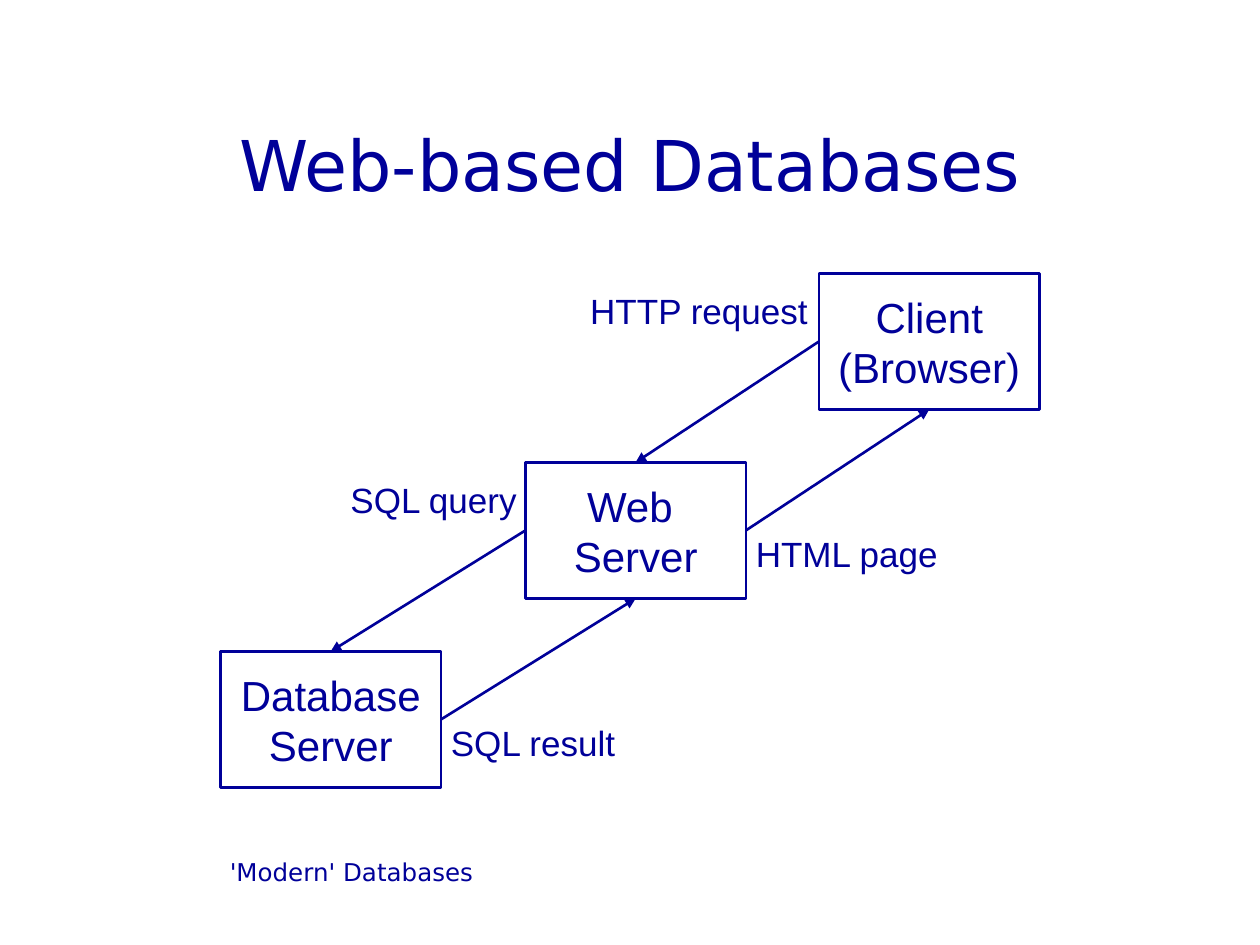
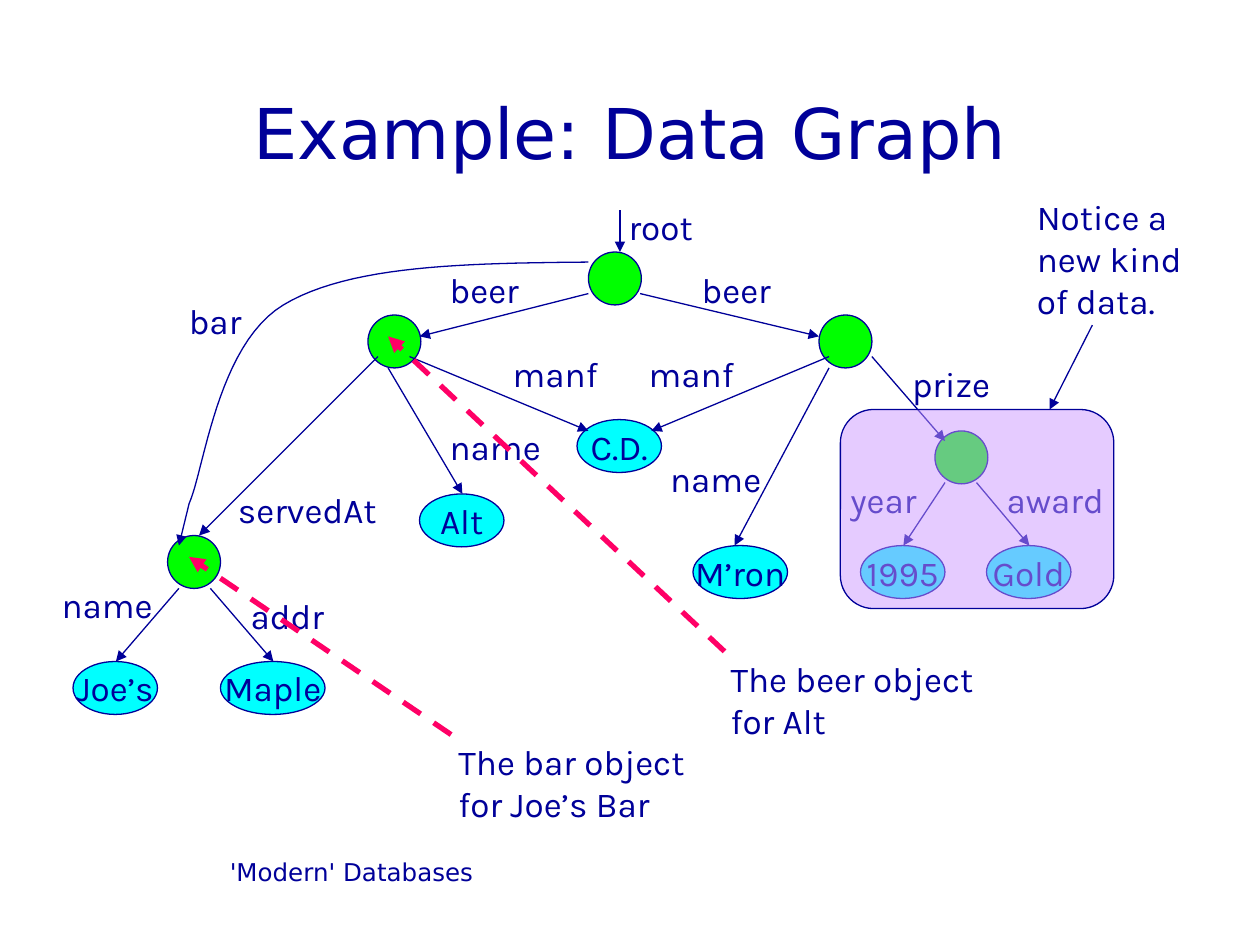
from dataclasses import dataclass

import pptx
import pptx.dml.color
import pptx.enum.dml
import pptx.enum.shapes
import pptx.enum.text
import pptx.oxml.ns
import pptx.util
from lxml import etree
from pptx.util import Inches

ALIGN = pptx.enum.text.PP_ALIGN
ANCHOR = pptx.enum.text.MSO_ANCHOR
SHAPE = pptx.enum.shapes.MSO_SHAPE
qn = pptx.oxml.ns.qn

COLORS = {
    "navy": "000099",
    "object": "00FF00",
    "value": "00FFFF",
    "pointer": "FF0066",
    "highlight": "CC99FF",
}
TITLE_FONT, BOX_FONT, GRAPH_FONT = "DejaVu Sans", "Arial", "Karla"
TITLE_ONLY = 5

BOX_W, BOX_H = 1.75, 1.08
NODE_H = 0.42


@dataclass
class Label:
    text: str
    x: float
    y: float
    w: float
    h: float = 0.44
    align: ALIGN = ALIGN.LEFT


@dataclass
class Value:
    text: str
    x: float
    y: float
    w: float = 0.67


@dataclass
class Arrow:
    x1: float
    y1: float
    x2: float
    y2: float
    color: str = "navy"
    width: float = 0.75
    dashed: bool = False


SERVER_BOXES = {
    "client": ("Client\n(Browser)", 6.5, 2.17),
    "web": ("Web \nServer", 4.17, 3.67),
    "database": ("Database\vServer", 1.75, 5.17),
}
TOP, LEFT, BOTTOM, RIGHT = range(4)
SERVER_LINKS = [
    ("web", LEFT, "database", TOP),
    ("database", RIGHT, "web", BOTTOM),
    ("client", LEFT, "web", TOP),
    ("web", RIGHT, "client", BOTTOM),
]
SERVER_LABELS = [
    Label("HTTP request", 4.58, 2.25, 1.93, align=ALIGN.RIGHT),
    Label("SQL query", 2.67, 3.75, 1.53, align=ALIGN.RIGHT),
    Label("SQL result", 3.48, 5.68, 1.51),
    Label("HTML page", 5.9, 4.18, 1.65),
]

OBJECT_NODES = [(4.67, 2), (1.33, 4.25), (7.42, 3.42), (6.5, 2.5), (2.92, 2.5)]
VALUE_NODES = [
    Value("Alt", 3.33, 3.92),
    Value("C.D.", 4.58, 3.33),
    Value("Gold", 7.83, 4.33),
    Value("1995", 6.83, 4.33),
    Value("Maple", 1.75, 5.25, 0.83),
    Value("Joe’s", 0.58, 5.25),
    Value("M’ron", 5.5, 4.33, 0.75),
]
GRAPH_ARROWS = [
    Arrow(4.67, 2.33, 3.33, 2.67),
    Arrow(5.08, 2.33, 6.5, 2.67),
    Arrow(3.08, 2.92, 3.67, 3.92),
    Arrow(3.25, 2.83, 4.67, 3.42),
    Arrow(6.58, 2.92, 5.83, 4.33),
    Arrow(6.58, 2.83, 5.17, 3.42),
    Arrow(6.92, 2.83, 7.5, 3.5),
    Arrow(7.5, 3.83, 7.17, 4.33),
    Arrow(7.75, 3.83, 8.17, 4.33),
    Arrow(3, 2.83, 1.58, 4.25),
    Arrow(1.42, 4.67, 0.92, 5.25),
    Arrow(1.67, 4.67, 2.17, 5.25),
    Arrow(1.5, 4, 1.42, 4.33),
    Arrow(4.92, 1.67, 4.92, 2),
]
BAR_CURVE = [
    ((4.67, 2.08), (3.72, 2.09), (2.78, 2.1), (2.25, 2.42)),
    ((2.25, 2.42), (1.72, 2.74), (1.62, 3.74), (1.5, 4)),
]
EDGE_LABELS = [
    Label("beer", 3.47, 2.08, 0.8),
    Label("beer", 5.47, 2.08, 0.8),
    Label("bar", 1.4, 2.33, 0.64),
    Label("manf", 5.05, 2.75, 0.88),
    Label("manf", 3.97, 2.75, 0.88),
    Label("servedAt", 1.79, 3.83, 1.35),
    Label("name", 0.39, 4.58, 0.94),
    Label("name", 3.47, 3.33, 0.94),
    Label("name", 5.22, 3.58, 0.94),
    Label("addr", 1.89, 4.67, 0.81),
    Label("prize", 7.14, 2.83, 0.84),
    Label("year", 6.65, 3.75, 0.77),
    Label("award", 7.89, 3.75, 1.01),
    Label("root", 4.89, 1.58, 0.75),
]
CALLOUTS = [
    (Label("The bar object\nfor Joe’s Bar", 3.54, 5.83, 2.07, 0.77),
     Arrow(3.58, 5.83, 1.5, 4.42, "pointer", 3, True)),
    (Label("The beer object\nfor Alt", 5.7, 5.17, 2.23, 0.77),
     Arrow(5.75, 5.17, 3.08, 2.67, "pointer", 3, True)),
    (Label("Notice a\nnew kind\nof data.", 8.13, 1.5, 1.38, 1.1),
     Arrow(8.67, 2.58, 8.33, 3.25)),
]


def rgb(color: str) -> pptx.dml.color.RGBColor:
    return pptx.dml.color.RGBColor.from_string(COLORS[color])


def set_text(tf, text: str, size: float, font: str, align: ALIGN, wrap: bool = False) -> None:
    tf.text = text
    tf.word_wrap = wrap
    for p in tf.paragraphs:
        p.alignment = align
        p.font.size = pptx.util.Pt(size)
        p.font.name = font
        p.font.color.rgb = rgb("navy")


def set_line(line, width: float, color: str = "navy") -> None:
    line.color.rgb = rgb(color)
    line.width = pptx.util.Pt(width)


def add_slide(prs, title: str, title_y: float):
    """Add a slide with its title and the running footer."""
    s = prs.slides.add_slide(prs.slide_layouts[TITLE_ONLY])
    sp = s.shapes.title
    sp.left, sp.top = Inches(0.75), Inches(title_y)
    sp.width, sp.height = Inches(8.5), Inches(1.25)
    sp.text_frame.vertical_anchor = ANCHOR.MIDDLE
    set_text(sp.text_frame, title, 40, TITLE_FONT, ALIGN.CENTER, wrap=True)
    footer = s.shapes.add_textbox(Inches(0.75), Inches(6.75), Inches(4.08), Inches(0.5))
    set_text(footer.text_frame, "'Modern' Databases", 14, TITLE_FONT, ALIGN.CENTER, wrap=True)
    return s


def add_label(s, label: Label, font: str) -> None:
    sp = s.shapes.add_textbox(Inches(label.x), Inches(label.y), Inches(label.w), Inches(label.h))
    set_text(sp.text_frame, label.text, 20, font, label.align)
    sp.text_frame.auto_size = pptx.enum.text.MSO_AUTO_SIZE.SHAPE_TO_FIT_TEXT


def add_outlined(s, kind: SHAPE, x: float, y: float, w: float, h: float,
                 fill: str = "", width: float = 0.75):
    sp = s.shapes.add_shape(kind, Inches(x), Inches(y), Inches(w), Inches(h))
    sp.shadow.inherit = False
    if fill:
        sp.fill.solid()
        sp.fill.fore_color.rgb = rgb(fill)
    else:
        sp.fill.background()
    set_line(sp.line, width)
    return sp


def add_arrow(s, arrow: Arrow):
    cx = s.shapes.add_connector(
        pptx.enum.shapes.MSO_CONNECTOR.STRAIGHT,
        Inches(arrow.x1), Inches(arrow.y1), Inches(arrow.x2), Inches(arrow.y2))
    set_line(cx.line, arrow.width, arrow.color)
    if arrow.dashed:
        cx.line.dash_style = pptx.enum.dml.MSO_LINE.DASH
    sp_pr = cx._element.spPr
    etree.SubElement(sp_pr.find(qn("a:ln")), qn("a:tailEnd"), type="triangle")
    etree.SubElement(sp_pr, qn("a:effectLst"))
    return cx


def bezier_point(curve, t: float) -> tuple[int, int]:
    weights = ((1 - t) ** 3, 3 * t * (1 - t) ** 2, 3 * t ** 2 * (1 - t), t ** 3)
    x, y = (sum(w * c for w, c in zip(weights, axis)) for axis in zip(*curve))
    return Inches(x), Inches(y)


def add_curve(s, curves, steps: int = 24) -> None:
    """Draw joined cubic curves as one open outline."""
    builder = s.shapes.build_freeform(*bezier_point(curves[0], 0))
    points = [bezier_point(c, i / steps) for c in curves for i in range(1, steps + 1)]
    builder.add_line_segments(points, close=False)
    sp = builder.convert_to_shape()
    sp.shadow.inherit = False
    sp.fill.background()
    set_line(sp.line, 0.75)


def build_web_databases(prs) -> None:
    s = add_slide(prs, "Web-based Databases", 0.67)
    boxes = {}
    for name, (text, x, y) in SERVER_BOXES.items():
        sp = boxes[name] = add_outlined(s, SHAPE.RECTANGLE, x, y, BOX_W, BOX_H, width=1.5)
        sp.text_frame.vertical_anchor = ANCHOR.MIDDLE
        set_text(sp.text_frame, text, 24, BOX_FONT, ALIGN.CENTER)
    for source, source_side, target, target_side in SERVER_LINKS:
        cx = add_arrow(s, Arrow(0, 0, 1, 1, width=1.5))
        cx.begin_connect(boxes[source], source_side)
        cx.end_connect(boxes[target], target_side)
    for label in SERVER_LABELS:
        add_label(s, label, BOX_FONT)


def build_data_graph(prs) -> None:
    s = add_slide(prs, "Example: Data Graph", 0.42)
    for x, y in OBJECT_NODES:
        add_outlined(s, SHAPE.OVAL, x, y, NODE_H, NODE_H, "object")
    for value in VALUE_NODES:
        sp = add_outlined(s, SHAPE.OVAL, value.x, value.y, value.w, NODE_H, "value")
        sp.text_frame.vertical_anchor = ANCHOR.MIDDLE
        set_text(sp.text_frame, value.text, 20, GRAPH_FONT, ALIGN.CENTER)
    for arrow in GRAPH_ARROWS:
        add_arrow(s, arrow)
    add_curve(s, BAR_CURVE)
    for label in EDGE_LABELS:
        add_label(s, label, GRAPH_FONT)

    prize = add_outlined(s, SHAPE.ROUNDED_RECTANGLE, 6.67, 3.25, 2.17, 1.58, "highlight")
    fill_color = prize._element.spPr.find(qn("a:solidFill")).find(qn("a:srgbClr"))
    etree.SubElement(fill_color, qn("a:alpha"), val="50000")
    for label, arrow in CALLOUTS:
        add_label(s, label, GRAPH_FONT)
        add_arrow(s, arrow)


def main() -> None:
    prs = pptx.Presentation()
    prs.slide_width, prs.slide_height = Inches(10), Inches(7.5)
    build_web_databases(prs)
    build_data_graph(prs)
    prs.save("out.pptx")


if __name__ == "__main__":
    main()
